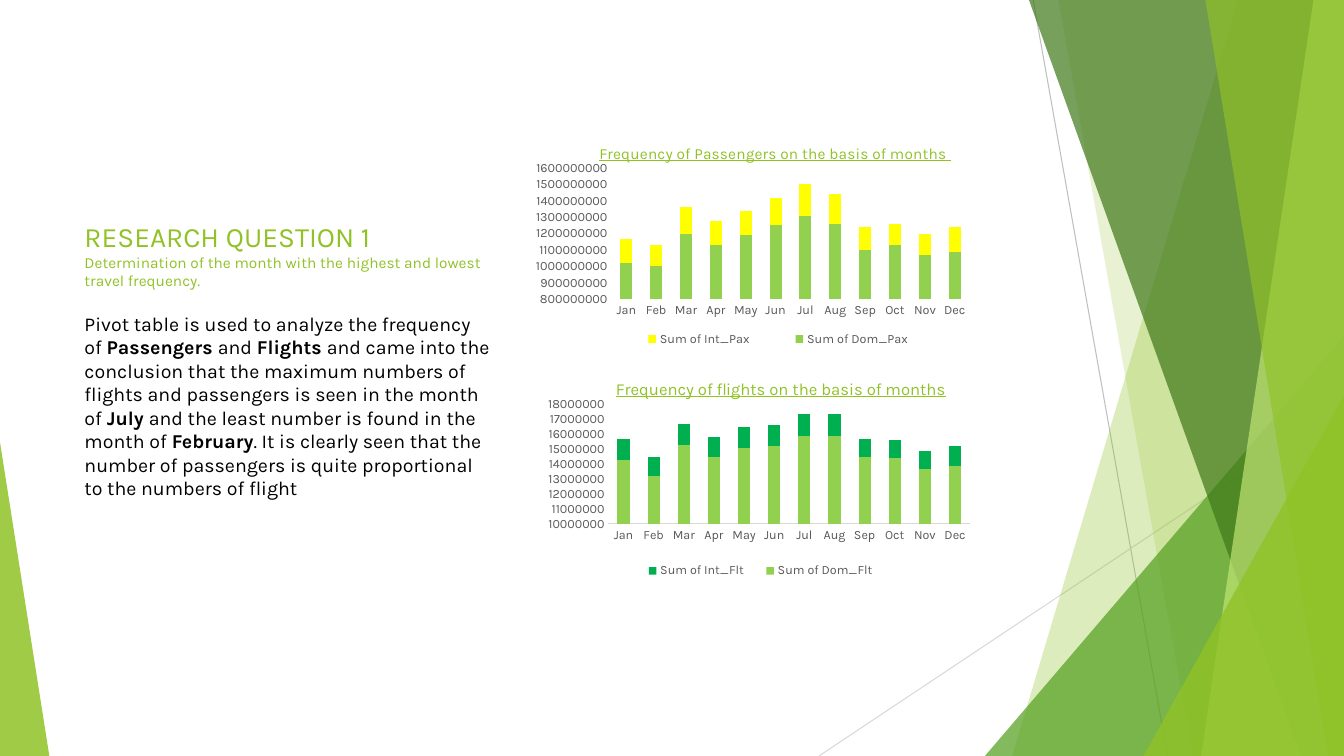
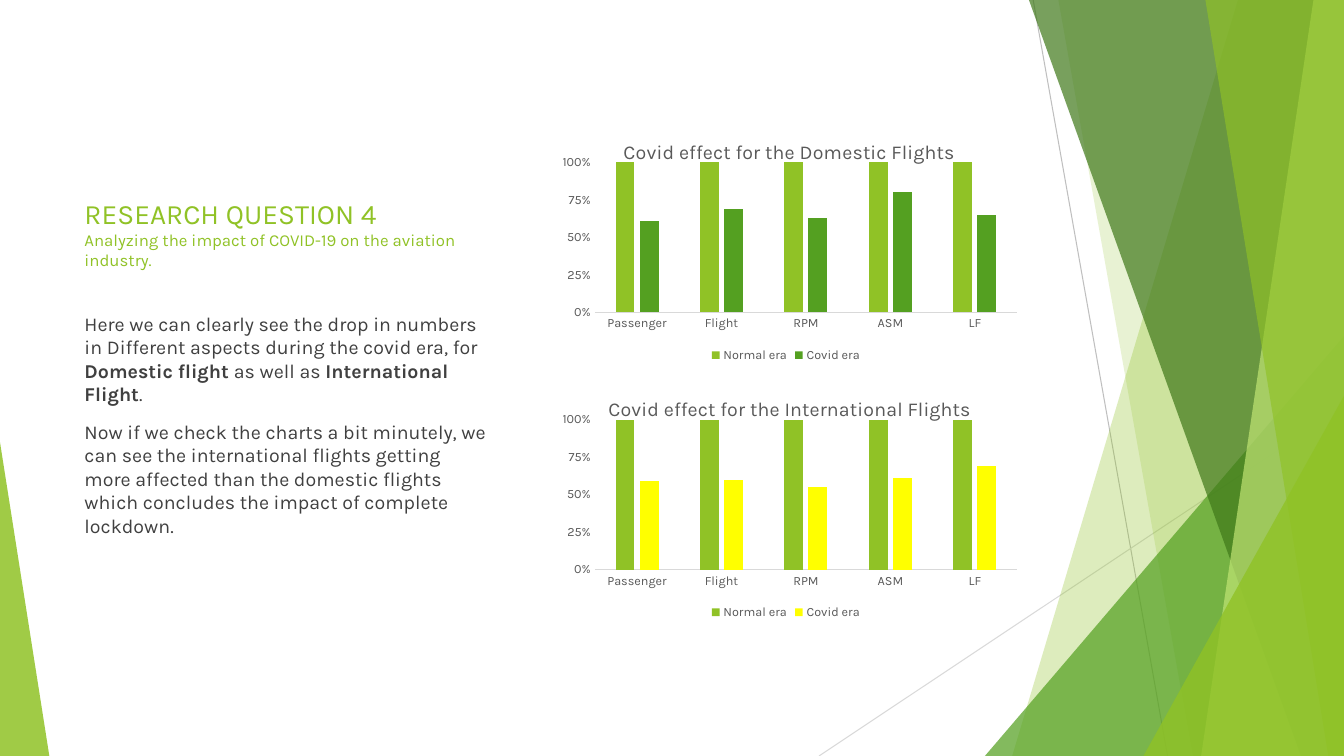
from dataclasses import dataclass

from pptx import Presentation
from pptx.chart.chart import Chart
from pptx.chart.data import CategoryChartData
from pptx.dml.color import RGBColor
from pptx.enum.chart import XL_CHART_TYPE, XL_LEGEND_POSITION, XL_TICK_MARK
from pptx.enum.shapes import MSO_CONNECTOR, MSO_SHAPE
from pptx.oxml.ns import qn
from pptx.oxml.xmlchemy import BaseOxmlElement
from pptx.slide import Slide
from pptx.text.text import Font
from pptx.util import Emu, Pt
from lxml.etree import SubElement

PX = 9525
WIDTH, HEIGHT = 1280, 720
TEXT_LEFT, TEXT_WIDTH = 71, 405
BODY_TOP, BODY_HEIGHT = 292, 272
TITLE_HEIGHT = 84


@dataclass(frozen=True)
class Theme:
    font: str = "Karla"
    lime: str = "90C226"
    pale_lime: str = "C0E474"
    green: str = "54A021"
    dark_green: str = "3F7819"
    light_green: str = "92D050"
    emerald: str = "00B050"
    yellow: str = "FFFF00"
    black: str = "000000"
    body_gray: str = "404040"
    chart_gray: str = "595959"
    dark_rule: str = "BFBFBF"
    light_rule: str = "D9D9D9"
    title_size: int = 20
    body_size: int = 14
    label_size: int = 9
    paragraph_gap: int = 10
    rule_width: float = 0.75


THEME = Theme()


@dataclass(frozen=True)
class Area:
    left: float
    top: float
    width: float
    height: float

    def emu(self) -> tuple[Emu, ...]:
        return tuple(Emu(side * PX) for side in (self.left, self.top, self.width, self.height))


@dataclass(frozen=True)
class Rule:
    start: tuple[int, int]
    end: tuple[int, int]
    color: str


@dataclass(frozen=True)
class Band:
    """Full-height band from a slanted left side to the right page edge."""
    top_x: int
    bottom_x: int
    color: str
    opacity: int


@dataclass(frozen=True)
class Wedge:
    area: Area
    apex: int
    color: str
    opacity: int


@dataclass(frozen=True)
class Span:
    text: str
    bold: bool = False


@dataclass(frozen=True)
class Series:
    name: str
    color: str
    values: tuple[float, ...]


@dataclass(frozen=True)
class ChartStyle:
    kind: XL_CHART_TYPE
    gap: int
    overlap: int
    legend: XL_LEGEND_POSITION
    number_format: str
    title_color: str
    underline: bool


@dataclass(frozen=True)
class Graph:
    style: ChartStyle
    area: Area
    title: str
    title_size: int
    title_left: float
    plot: Area
    categories: tuple[str, ...]
    series: tuple[Series, ...]
    scale: tuple[float, float, float]
    axis_line: bool = True
    legend_area: Area | None = None


@dataclass(frozen=True)
class Page:
    heading: str
    subtitle: str
    subtitle_size: int
    title_top: int
    body_color: str
    body: tuple[tuple[Span, ...], ...]
    graphs: tuple[Graph, ...]


RULES = (
    Rule((984, 0), (1112, HEIGHT), THEME.dark_rule),
    Rule((WIDTH, 387), (780, HEIGHT), THEME.light_rule),
)
FACETS = (
    Band(1179, 964, THEME.lime, 30),
    Band(1008, 1136, THEME.lime, 20),
    Wedge(Area(938, 320, 342, 400), 1, THEME.green, 72),
    Band(980, 1239, THEME.dark_green, 70),
    Band(1251, 1144, THEME.pale_lime, 70),
    Band(1148, 1265, THEME.lime, 65),
    Wedge(Area(1089, 377, 191, 343), 1, THEME.lime, 80),
    Wedge(Area(0, 421, 47, 299), 0, THEME.lime, 85),
)

MONTHLY = ChartStyle(XL_CHART_TYPE.COLUMN_STACKED, 150, 100, XL_LEGEND_POSITION.RIGHT,
                     "General", THEME.lime, True)
ERAS = ChartStyle(XL_CHART_TYPE.COLUMN_CLUSTERED, 219, -27, XL_LEGEND_POSITION.BOTTOM,
                  "0%", THEME.chart_gray, False)
MONTHS = ("Jan", "Feb", "Mar", "Apr", "May", "Jun", "Jul", "Aug", "Sep", "Oct", "Nov", "Dec")
MEASURES = ("Passenger", "Flight", "RPM", "ASM", "LF")


def scaled(unit: int, *values: int) -> tuple[int, ...]:
    return tuple(value * unit for value in values)


def era_graph(flights: str, top: int, title_left: float, plot: Area, color: str,
              covid: tuple[float, ...]) -> Graph:
    return Graph(ERAS, Area(509, top, 479, 234), f"Covid effect for the {flights} Flights",
                 14, title_left, plot, MEASURES,
                 (Series("Normal era", THEME.lime, (1,) * len(MEASURES)),
                  Series("Covid era", color, covid)), (0, 1, 0.25))


PAGES = (
    Page(
        "RESEARCH QUESTION 1",
        "Determination of the month with the highest and lowest travel frequency.",
        11, 204, THEME.black,
        ((Span("Pivot table is used to analyze the frequency of "), Span("Passengers ", True),
          Span("and "), Span("Flights ", True),
          Span("and came into the conclusion that the maximum numbers of flights and "
               "passengers is seen in the month of"), Span(" July ", True),
          Span("and the least number is found in the month of"), Span(" February", True),
          Span(". It is clearly seen that the number of passengers is quite proportional "
               "to the numbers of flight")),),
        (Graph(MONTHLY, Area(497, 120, 474, 223),
               "Frequency of Passengers on the basis of months ", 11, 0.15,
               Area(0.18, 0.18, 0.72, 0.56), MONTHS,
               (Series("Sum of Dom_Pax", THEME.light_green, scaled(
                   10_000_000, 102, 100, 120, 113, 119, 125, 131, 126, 110, 113, 107, 109)),
                Series("Sum of Int_Pax", THEME.yellow, scaled(
                    10_000_000, 15, 13, 16, 15, 15, 17, 19, 18, 14, 13, 13, 15))),
               (800_000_000, 1_600_000_000, 100_000_000), False,
               Area(0.17, 0.85, 0.69, 0.12)),
         Graph(MONTHLY, Area(522, 343, 423, 223),
               "Frequency of flights on the basis of months", 12, 0.14,
               Area(0.13, 0.19, 0.82, 0.51), MONTHS,
               (Series("Sum of Dom_Flt", THEME.light_green, scaled(
                   100_000, 143, 132, 153, 145, 151, 152, 159, 159, 145, 144, 137, 139)),
                Series("Sum of Int_Flt", THEME.emerald, scaled(
                    100_000, 14, 13, 14, 13, 14, 14, 15, 15, 12, 12, 12, 13))),
               (10_000_000, 18_000_000, 1_000_000), True,
               Area(0.18, 0.84, 0.59, 0.12))),
    ),
    Page(
        "RESEARCH QUESTION 4",
        "Analyzing the impact of COVID-19 on the aviation industry.",
        12, 182, THEME.body_gray,
        ((Span("Here we can clearly see the drop in numbers in Different aspects during "
               "the covid era, for "), Span("Domestic flight", True), Span(" as well as "),
          Span("International Flight", True), Span(".")),
         (Span("Now if we check the charts a bit minutely, we can see the international "
               "flights getting more affected than the domestic flights which concludes "
               "the impact of complete lockdown."),)),
        (era_graph("Domestic", 115, 0.17, Area(0.12, 0.17, 0.84, 0.61), THEME.green,
                   (0.61, 0.69, 0.63, 0.8, 0.65)),
         era_graph("International", 360, 0.14, Area(0.12, 0.17, 0.84, 0.61), THEME.yellow,
                   (0.59, 0.6, 0.55, 0.61, 0.69))),
    ),
)


def style_font(font: Font, size: int, color: str, bold: bool = False) -> None:
    font.name = THEME.font
    font.size = Pt(size)
    font.bold = bold
    font.color.rgb = RGBColor.from_string(color)


def draw_backdrop(slide: Slide) -> None:
    for rule in RULES:
        ends = [Emu(value * PX) for value in (*rule.start, *rule.end)]
        line = slide.shapes.add_connector(MSO_CONNECTOR.STRAIGHT, *ends)
        line.line.color.rgb = RGBColor.from_string(rule.color)
        line.line.width = Pt(THEME.rule_width)
        SubElement(line.element.spPr, qn("a:effectLst"))
    for facet in FACETS:
        if isinstance(facet, Band):
            outline = slide.shapes.build_freeform(facet.top_x, 0, scale=PX)
            outline.add_line_segments(
                [(WIDTH, 0), (WIDTH, HEIGHT), (facet.bottom_x, HEIGHT)], close=True)
            shape = outline.convert_to_shape()
        else:
            shape = slide.shapes.add_shape(MSO_SHAPE.ISOSCELES_TRIANGLE, *facet.area.emu())
            shape.adjustments[0] = facet.apex
        shape.shadow.inherit = False
        shape.line.fill.background()
        shape.fill.solid()
        shape.fill.fore_color.rgb = RGBColor.from_string(facet.color)
        color = shape.element.spPr.find(qn("a:solidFill")).find(qn("a:srgbClr"))
        SubElement(color, qn("a:alpha"), val=str(facet.opacity * 1000))


def draw_text(slide: Slide, page: Page) -> None:
    title = slide.shapes.add_textbox(
        *Area(TEXT_LEFT, page.title_top, TEXT_WIDTH, TITLE_HEIGHT).emu()).text_frame
    title.word_wrap = True
    lines = ((page.heading, THEME.title_size), (page.subtitle, page.subtitle_size))
    for index, (text, size) in enumerate(lines):
        para = title.add_paragraph() if index else title.paragraphs[0]
        run = para.add_run()
        run.text = text
        style_font(run.font, size, THEME.lime)

    body = slide.shapes.add_textbox(
        *Area(TEXT_LEFT, BODY_TOP, TEXT_WIDTH, BODY_HEIGHT).emu()).text_frame
    body.word_wrap = True
    for index, spans in enumerate(page.body):
        para = body.add_paragraph() if index else body.paragraphs[0]
        para.space_before = Pt(THEME.paragraph_gap)
        for span in spans:
            run = para.add_run()
            run.text = span.text
            style_font(run.font, THEME.body_size, page.body_color, span.bold)


def set_layout(part: BaseOxmlElement, index: int, **settings: str | float) -> None:
    """Give a chart part a manual layout as its child at the index."""
    for old in part.findall(qn("c:layout")):
        part.remove(old)
    layout = part.makeelement(qn("c:layout"))
    manual = SubElement(layout, qn("c:manualLayout"))
    for name, value in settings.items():
        SubElement(manual, qn(f"c:{name}"), val=str(value))
    part.insert(index, layout)


def place_parts(chart: Chart, graph: Graph) -> None:
    parts = chart.element.find(qn("c:chart"))
    edges = {"xMode": "edge", "yMode": "edge"}
    set_layout(parts.find(qn("c:title")), 1, **edges, x=graph.title_left, y=0.06)
    boxes = [("c:plotArea", 0, {"layoutTarget": "inner"}, graph.plot)]
    if graph.legend_area:
        boxes.append(("c:legend", 1, {}, graph.legend_area))
    for name, index, target, area in boxes:
        set_layout(parts.find(qn(name)), index, **target, **edges,
                   x=area.left, y=area.top, w=area.width, h=area.height)


def draw_graph(slide: Slide, graph: Graph) -> None:
    style = graph.style
    data = CategoryChartData(number_format=style.number_format)
    data.categories = graph.categories
    for series in graph.series:
        data.add_series(series.name, series.values)
    chart = slide.shapes.add_chart(style.kind, *graph.area.emu(), data).chart
    style_font(chart.font, THEME.label_size, THEME.chart_gray)

    run = chart.chart_title.text_frame.paragraphs[0].add_run()
    run.text = graph.title
    style_font(run.font, graph.title_size, style.title_color)
    run.font.underline = style.underline

    bars = chart.plots[0]
    bars.gap_width, bars.overlap, bars.vary_by_categories = style.gap, style.overlap, False
    for drawn, series in zip(bars.series, graph.series):
        drawn.format.fill.solid()
        drawn.format.fill.fore_color.rgb = RGBColor.from_string(series.color)

    values = chart.value_axis
    values.minimum_scale, values.maximum_scale, values.major_unit = graph.scale
    values.tick_labels.number_format = style.number_format
    values.tick_labels.number_format_is_linked = False
    for axis in (values, chart.category_axis):
        axis.has_major_gridlines = False
        axis.major_tick_mark = XL_TICK_MARK.NONE
        axis.format.line.fill.background()
    if graph.axis_line:
        axis_line = chart.category_axis.format.line
        axis_line.color.rgb = RGBColor.from_string(THEME.light_rule)
        axis_line.width = Pt(THEME.rule_width)

    chart.has_legend = True
    chart.legend.position = style.legend
    chart.legend.include_in_layout = False
    place_parts(chart, graph)


def main() -> None:
    deck = Presentation()
    deck.slide_width, deck.slide_height = Emu(WIDTH * PX), Emu(HEIGHT * PX)
    for page in PAGES:
        slide = deck.slides.add_slide(deck.slide_layouts[6])
        draw_backdrop(slide)
        draw_text(slide, page)
        for graph in page.graphs:
            draw_graph(slide, graph)
    deck.save("out.pptx")


if __name__ == "__main__":
    main()
